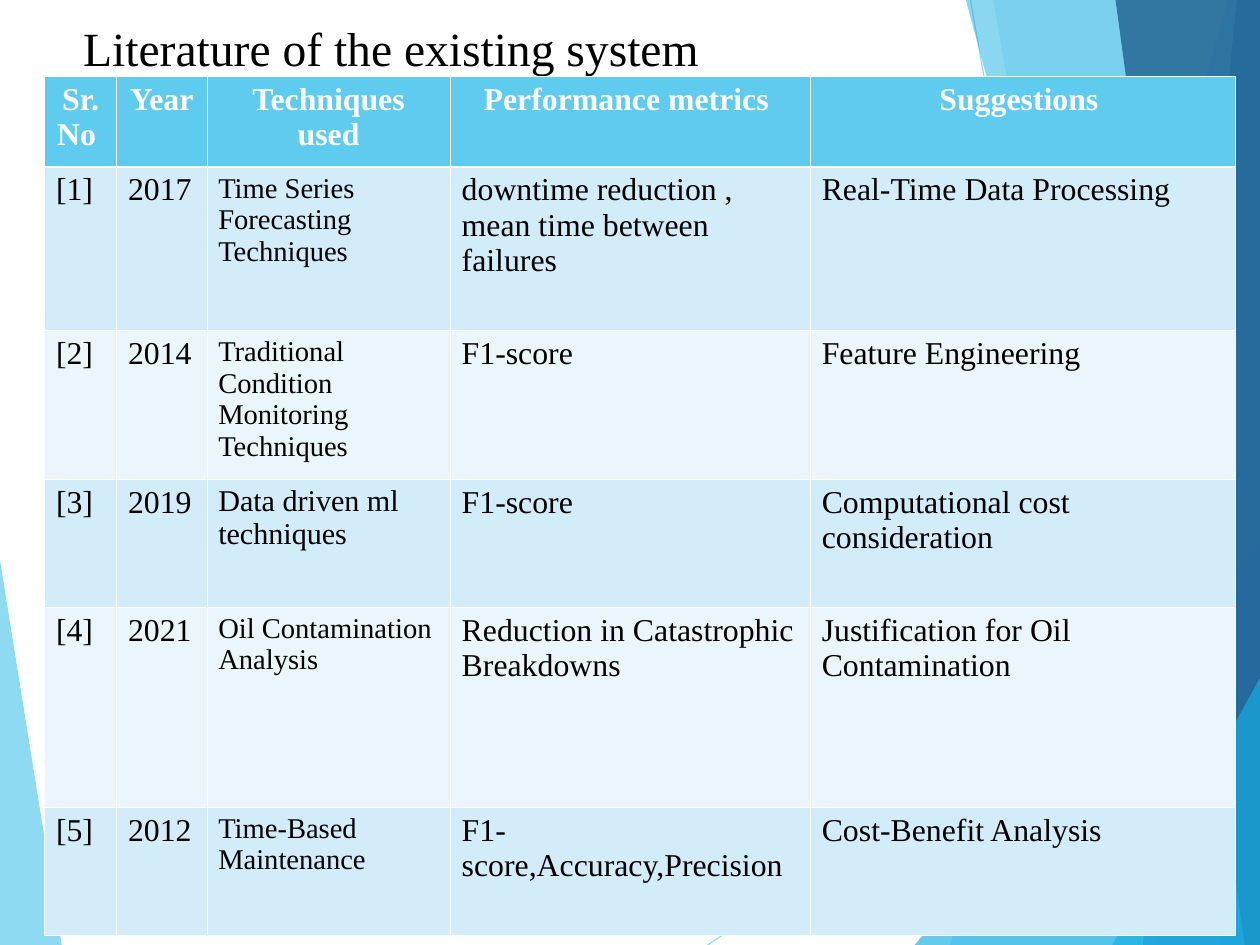
from lxml import etree
from pptx import Presentation
from pptx import util as u
from pptx.dml.color import RGBColor
from pptx.enum import shapes, text
from pptx.oxml.ns import qn

COLORS = {
    "sky": "5FCBEF", "cyan": "17B0E4", "blue": "2E83C3", "navy": "236292",
    "odd": "D2ECF9", "even": "EAF6FC", "white": "FFFFFF", "black": "000000",
}
RIGHT, BOTTOM = 11.03, 8.27


def set_opacity(element, percent):
    for color in element.iter(qn("a:srgbClr")):
        etree.SubElement(color, qn("a:alpha"), val=str(percent * 1000))


def write(paragraph, words, size, color, bold=False):
    run = paragraph.add_run()
    run.text = words
    font_format = {"name": "Times New Roman", "size": u.Pt(size), "bold": bold}
    for key, value in font_format.items():
        setattr(run.font, key, value)
    run.font.color.rgb = RGBColor.from_string(COLORS[color])


deck = Presentation()
deck.slide_width, deck.slide_height = u.Cm(28), u.Cm(21)
slide = deck.slides.add_slide(deck.slide_layouts[6])

for ends in [(6.19, BOTTOM, RIGHT, 5.03), (8.49, 0, 9.96, BOTTOM)]:
    ray = slide.shapes.add_connector(
        shapes.MSO_CONNECTOR.STRAIGHT, *[u.Inches(v) for v in ends])
    ray.line.width = u.Pt(0.75)
    ray.line.color.rgb = RGBColor.from_string(COLORS["sky"])
    properties = ray.element.spPr
    set_opacity(properties, 70)
    etree.SubElement(properties, qn("a:effectLst"))

facets = [
    ("sky", 70, [(-0.01, 4.84), (0.54, BOTTOM), (-0.01, BOTTOM)]),
    ("sky", 36, [(10.75, 0), (8.31, BOTTOM), (RIGHT, BOTTOM), (RIGHT, 0)]),
    ("sky", 20, [(8.69, 0), (10.14, BOTTOM), (RIGHT, BOTTOM), (RIGHT, 0)]),
    ("cyan", 66, [(8, BOTTOM), (RIGHT, 4.73), (RIGHT, BOTTOM)]),
    ("cyan", 50, [(8.45, 0), (10.69, BOTTOM), (RIGHT, BOTTOM), (RIGHT, 0)]),
    ("blue", 70, [(10.82, 0), (10, BOTTOM), (RIGHT, BOTTOM), (RIGHT, 0)]),
    ("navy", 82, [(9.76, 0), (10.89, BOTTOM), (RIGHT, BOTTOM), (RIGHT, 0)]),
    ("cyan", 66, [(9.73, BOTTOM), (RIGHT, 5.92), (RIGHT, BOTTOM)]),
]
for color, opacity, corners in facets:
    start, *others = [(u.Inches(x), u.Inches(y)) for x, y in corners]
    outline = slide.shapes.build_freeform(*start)
    outline.add_line_segments(others, close=True)
    facet = outline.convert_to_shape()
    facet.shadow.inherit = False
    facet.line.fill.background()
    facet.fill.solid()
    facet.fill.fore_color.rgb = RGBColor.from_string(COLORS[color])
    set_opacity(facet.element.spPr, opacity)

title = slide.shapes.add_textbox(
    u.Inches(0.63), u.Inches(0.12), u.Inches(7.76), u.Inches(0.94)).text_frame
title.word_wrap = True
write(title.paragraphs[0], "Literature of the existing system", 30, "black")

column_widths = [0.63, 0.79, 2.13, 3.15, 3.72]
row_heights = [0.79, 1.43, 1.3, 1.12, 1.75, 1.12]
literature = [
    ["Sr.No ", "Year", "Techniques used", "Performance metrics ", "Suggestions "],
    ["[1]", "2017", "Time Series Forecasting Techniques",
     "downtime reduction , mean time between failures", "Real-Time Data Processing"],
    ["[2]", "2014", "Traditional Condition Monitoring Techniques",
     "F1-score", "Feature Engineering"],
    ["[3]", "2019", "Data driven ml techniques",
     "F1-score", "Computational cost consideration"],
    ["[4]", "2021", "Oil Contamination Analysis",
     "Reduction in Catastrophic Breakdowns", "Justification for Oil Contamination"],
    ["[5]", "2012", "Time-Based Maintenance",
     "F1-score,Accuracy,Precision", "Cost-Benefit Analysis"],
]
technique_sizes = [20, 18, 18, 19, 18, 18]

table = slide.shapes.add_table(
    len(row_heights), len(column_widths), u.Inches(0.39), u.Inches(0.67),
    u.Inches(sum(column_widths)), u.Inches(sum(row_heights))).table
for column, width in zip(table.columns, column_widths):
    column.width = u.Inches(width)
for row, height in zip(table.rows, row_heights):
    row.height = u.Inches(height)

for r, entries in enumerate(literature):
    header = r == 0
    background = "sky" if header else "odd" if r % 2 else "even"
    for c, words in enumerate(entries):
        cell = table.cell(r, c)
        cell_properties = cell._tc.get_or_add_tcPr()
        for side in "LRTB":
            heavy = (r, side) in [(0, "B"), (1, "T")]
            border = etree.SubElement(cell_properties, qn("a:ln" + side),
                                      w=str(u.Pt(1.47 if heavy else 0.45)))
            border_fill = etree.SubElement(border, qn("a:solidFill"))
            etree.SubElement(border_fill, qn("a:srgbClr"), val=COLORS["white"])
        cell.fill.solid()
        cell.fill.fore_color.rgb = RGBColor.from_string(COLORS[background])
        paragraph = cell.text_frame.paragraphs[0]
        paragraph.alignment = text.PP_ALIGN.CENTER if header else text.PP_ALIGN.LEFT
        write(paragraph, words, technique_sizes[r] if c == 2 else 20,
              "white" if header else "black", header)

deck.save("out.pptx")
